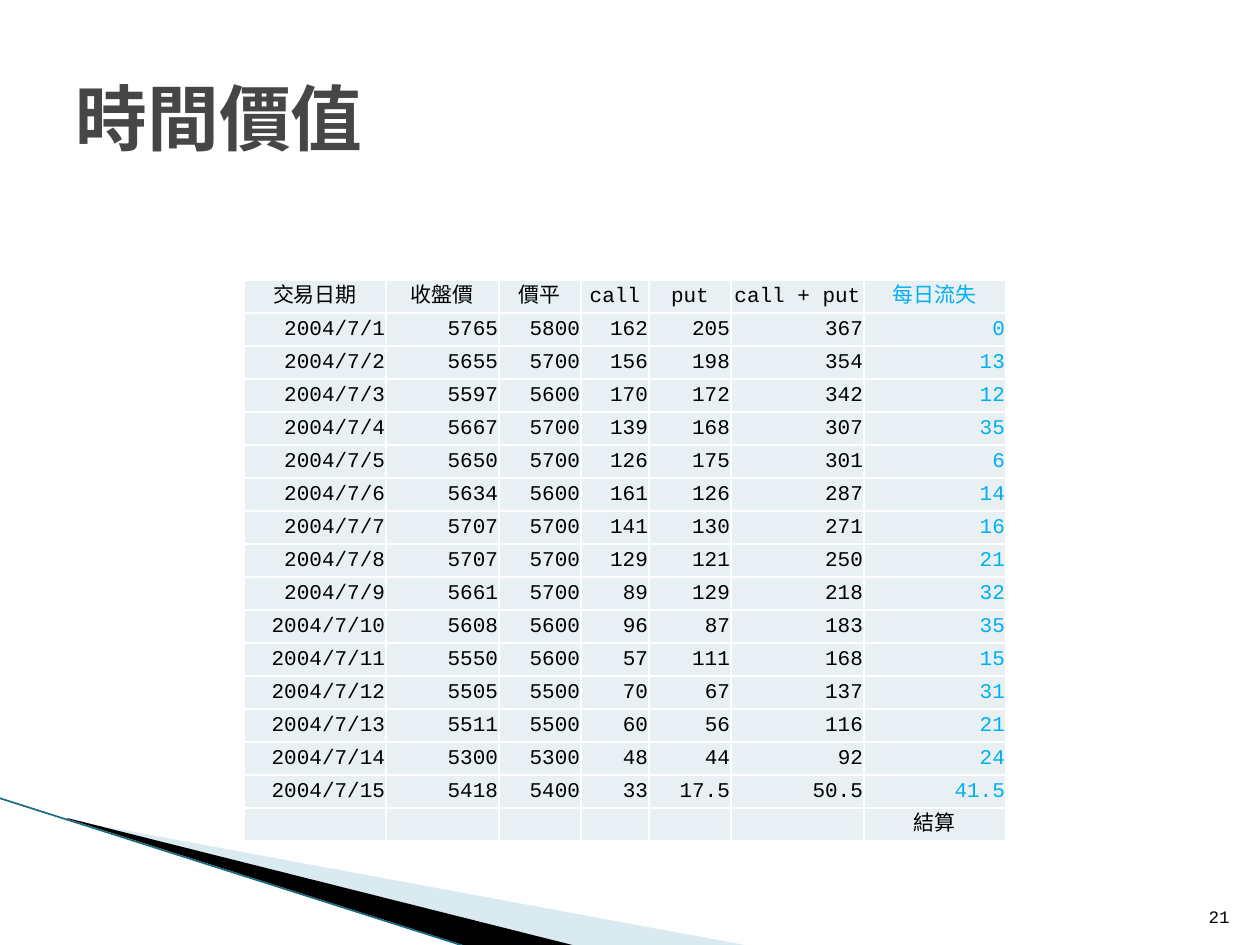
"""Build the time value slide with its table of option prices."""
from lxml.etree import SubElement
from pptx import Presentation
from pptx.dml.color import RGBColor
from pptx.enum.shapes import MSO_CONNECTOR
from pptx.enum.text import MSO_ANCHOR, PP_ALIGN
from pptx.oxml.ns import qn
from pptx.util import Pt

PX = 914400 / 126
THEME = {
    "font": "Courier New",
    "title": "464646", "text": "000000", "loss": "00B0F0",
    "cell": "E8F0F4", "rule": "FFFFFF",
    "light": "A0CBDC", "dark": "000000", "edge": "1A6B80",
    "big": 41, "body": 12, "small": 10,
}


def px(*sizes):
    return [round(size * PX) for size in sizes]


def write(frame, text, size, color, align, bold=False):
    frame.text = text
    para = frame.paragraphs[0]
    para.alignment = align
    for run in para.runs:
        font = run.font
        font.name = THEME["font"]
        font.size = Pt(THEME[size])
        font.bold = bold
        font.color.rgb = RGBColor.from_string(THEME[color])
        SubElement(font._element, qn("a:ea"), typeface=THEME["font"])
    if not text:
        SubElement(para._p, qn("a:endParaRPr"), sz=str(THEME[size] * 100))


deck = Presentation()
deck.slide_width, deck.slide_height = px(1260, 945)
slide = deck.slides.add_slide(deck.slide_layouts[5])
shapes = slide.shapes

wedges = [
    ("light", [(69, 820), (750, 946), (575, 946), (69, 819)]),
    ("dark", [(67, 818), (576, 946), (469, 947), (68, 819)]),
]
for color, points in wedges:
    pen = shapes.build_freeform(*points[0], scale=PX)
    pen.add_line_segments(points[1:], close=True)
    wedge = pen.convert_to_shape()
    wedge.shadow.inherit = False
    wedge.line.fill.background()
    wedge.fill.solid()
    wedge.fill.fore_color.rgb = RGBColor.from_string(THEME[color])
    if color == "light":
        tint = wedge._element.spPr.find(qn("a:solidFill"))[0]
        SubElement(tint, qn("a:alpha"), val="40000")

edge = shapes.add_connector(MSO_CONNECTOR.STRAIGHT, *px(-1, 798, 467, 947))
edge.line.width = Pt(0.95)
edge.line.color.rgb = RGBColor.from_string(THEME["edge"])
SubElement(edge._element.spPr, qn("a:effectLst"))

title = shapes.title
title.left, title.top, title.width, title.height = px(63, 38, 1134, 157)
title.text_frame.vertical_anchor = MSO_ANCHOR.MIDDLE
write(title.text_frame, "時間價值", "big", "title", PP_ALIGN.LEFT, True)

page = shapes.add_textbox(*px(1192, 883, 50, 50)).text_frame
page.word_wrap = True
page.vertical_anchor = MSO_ANCHOR.BOTTOM
write(page, "21", "small", "text", PP_ALIGN.RIGHT)

prices = [
    (5765, 5800, 162, 205), (5655, 5700, 156, 198), (5597, 5600, 170, 172),
    (5667, 5700, 139, 168), (5650, 5700, 126, 175), (5634, 5600, 161, 126),
    (5707, 5700, 141, 130), (5707, 5700, 129, 121), (5661, 5700, 89, 129),
    (5608, 5600, 96, 87), (5550, 5600, 57, 111), (5505, 5500, 70, 67),
    (5511, 5500, 60, 56), (5300, 5300, 48, 44), (5418, 5400, 33, 17.5),
]
rows = [["交易日期", "收盤價", "價平", "call", "put", "call + put", "每日流失"]]
last = sum(prices[0][2:])
for day, (close, strike, call, put) in enumerate(prices, 1):
    total = call + put
    rows.append([f"2004/7/{day}", close, strike, call, put, total, last - total])
    last = total
rows.append([""] * 6 + ["結算"])

widths = [142, 113, 82, 68, 82, 133, 142]
high = 33
frame = shapes.add_table(len(rows), len(widths),
                         *px(244, 280, sum(widths), high * len(rows)))
table = frame.table
table.first_row = table.horz_banding = False
for col, width in zip(table.columns, px(*widths)):
    col.width = width
for row in table.rows:
    row.height = px(high)[0]

end = len(rows) - 1
for r, row in enumerate(rows):
    for c, value in enumerate(row):
        cell = table.cell(r, c)
        cell.margin_left, cell.margin_top, cell.margin_right, cell.margin_bottom = px(1, 1, 1, 0)
        cell.vertical_anchor = MSO_ANCHOR.MIDDLE
        align = PP_ALIGN.CENTER if r in (0, end) else PP_ALIGN.RIGHT
        color = "loss" if c == 6 and r < end else "text"
        write(cell.text_frame, str(value), "body", color, align)
        props = cell._tc.get_or_add_tcPr()
        for side in ("lnL", "lnR", "lnT", "lnB"):
            line = SubElement(props, qn(f"a:{side}"), w=str(Pt(1)))
            fill = SubElement(line, qn("a:solidFill"))
            SubElement(fill, qn("a:srgbClr"), val=THEME["rule"])
        cell.fill.solid()
        cell.fill.fore_color.rgb = RGBColor.from_string(THEME["cell"])

deck.save("out.pptx")
